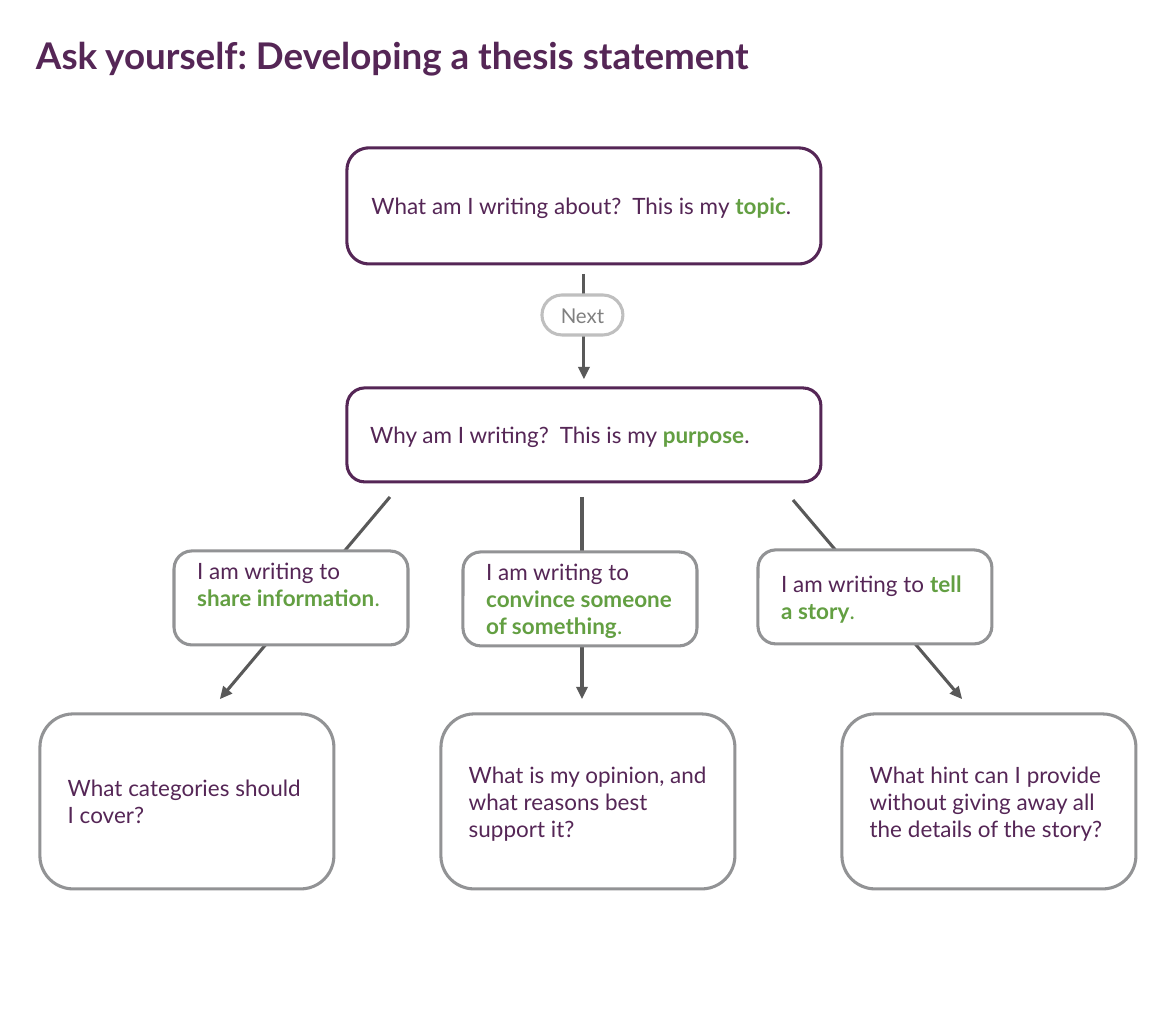
import pptx
import pptx.util
from pptx.dml.color import RGBColor
from pptx.enum.shapes import MSO_CONNECTOR, MSO_SHAPE
from pptx.enum.text import MSO_ANCHOR, MSO_AUTO_SIZE, PP_ALIGN
from pptx.oxml.ns import qn
from lxml import etree

PURPLE = RGBColor(0x55, 0x26, 0x56)
GREEN = RGBColor(0x63, 0x9F, 0x42)
GRAY = RGBColor(0x92, 0x93, 0x95)
ARROW_GRAY = RGBColor(0x59, 0x59, 0x59)
PILL_GRAY = RGBColor(0xBF, 0xBF, 0xBF)
NEXT_GRAY = RGBColor(0x80, 0x80, 0x80)
WHITE = RGBColor(0xFF, 0xFF, 0xFF)
FONT = "Lato"
PAD = 18


def px(count):
    return pptx.util.Emu(round(count * 914400 / 147))


def add_box(place, line_color, spans, rounding=0.19, size=11, pad=PAD):
    """Add a rounded box; spans are (text, color, bold)."""
    box = page.shapes.add_shape(
        MSO_SHAPE.ROUNDED_RECTANGLE, *[px(length) for length in place])
    box.adjustments[0] = rounding
    box.shadow.inherit = False
    box.fill.solid()
    box.fill.fore_color.rgb = WHITE
    box.line.color.rgb = line_color
    box.line.width = pptx.util.Pt(1.5)
    frame = box.text_frame
    frame.word_wrap = True
    frame.vertical_anchor = MSO_ANCHOR.MIDDLE
    frame.margin_left = frame.margin_right = px(pad)
    frame.margin_top = frame.margin_bottom = px(pad)
    para = frame.paragraphs[0]
    para.alignment = PP_ALIGN.LEFT
    para.font.name = FONT
    para.font.size = pptx.util.Pt(size)
    for text, color, bold in spans:
        span = para.add_run()
        span.text = text
        span.font.name = FONT
        span.font.size = pptx.util.Pt(size)
        span.font.color.rgb = color
        span.font.bold = bold
    return box


deck = pptx.Presentation()
deck.slide_width = px(8 * 147)
deck.slide_height = px(7 * 147)
page = deck.slides.add_slide(deck.slide_layouts[5])

# Title
title = page.shapes.title
title.left, title.top, title.width, title.height = px(36), px(15), px(986), px(87)
frame = title.text_frame
frame.text = "Ask yourself: Developing a thesis statement"
frame.auto_size = MSO_AUTO_SIZE.NONE
frame.word_wrap = True
frame.vertical_anchor = MSO_ANCHOR.TOP
frame.margin_left = frame.margin_right = 0
frame.margin_top = frame.margin_bottom = px(PAD)
para = frame.paragraphs[0]
para.alignment = PP_ALIGN.LEFT
para.font.name = FONT
para.font.size = pptx.util.Pt(18)
para.font.bold = True
para.font.color.rgb = PURPLE

# Closing questions
QUESTIONS = [
    "What categories should I cover?",
    "What is my opinion, and what reasons best support it?",
    "What hint can I provide without giving away all the details of the story?",
]
for column, question in enumerate(QUESTIONS):
    add_box((40 + 401 * column, 714, 294, 175), GRAY,
            [(question, PURPLE, False)])

# Topic and purpose
STEPS = [
    (148, 116, "What am I writing about?  This is my ", "topic"),
    (388, 94, "Why am I writing?  This is my ", "purpose"),
]
for top, height, lead, keyword in STEPS:
    add_box((347, top, 474, height), PURPLE,
            [(lead, PURPLE, False), (keyword, GREEN, True), (".", PURPLE, False)])

# Arrows, which stop short of the boxes they link
ARROWS = [
    (584, 274, 584, 379),
    (390, 497, 220, 699),
    (582, 497, 582, 699),
    (793, 500, 962, 699),
]
for ends in ARROWS:
    arrow = page.shapes.add_connector(
        MSO_CONNECTOR.STRAIGHT, *[px(length) for length in ends])
    arrow.line.color.rgb = ARROW_GRAY
    arrow.line.width = pptx.util.Pt(1.5)
    outline = arrow.line._get_or_add_ln()
    etree.SubElement(outline, qn("a:tailEnd"), type="triangle")
    etree.SubElement(arrow._element.spPr, qn("a:effectLst"))

# Next label
label = add_box((542, 295, 81, 40), PILL_GRAY, [("Next", NEXT_GRAY, False)],
                rounding=0.5, size=10, pad=0)
label.text_frame.paragraphs[0].alignment = PP_ALIGN.CENTER

# Kinds of purpose; the first text sits one line higher
PURPOSES = [
    (174, 551, "share information", 27),
    (463, 552, "convince someone of something", 0),
    (758, 550, "tell a story", 0),
]
for left, top, purpose, lift in PURPOSES:
    box = add_box((left, top, 234, 94), GRAY,
                  [("I am writing to ", PURPLE, False),
                   (purpose, GREEN, True), (".", GREEN, False)])
    box.text_frame.margin_bottom = px(PAD + lift)

deck.save("out.pptx")
